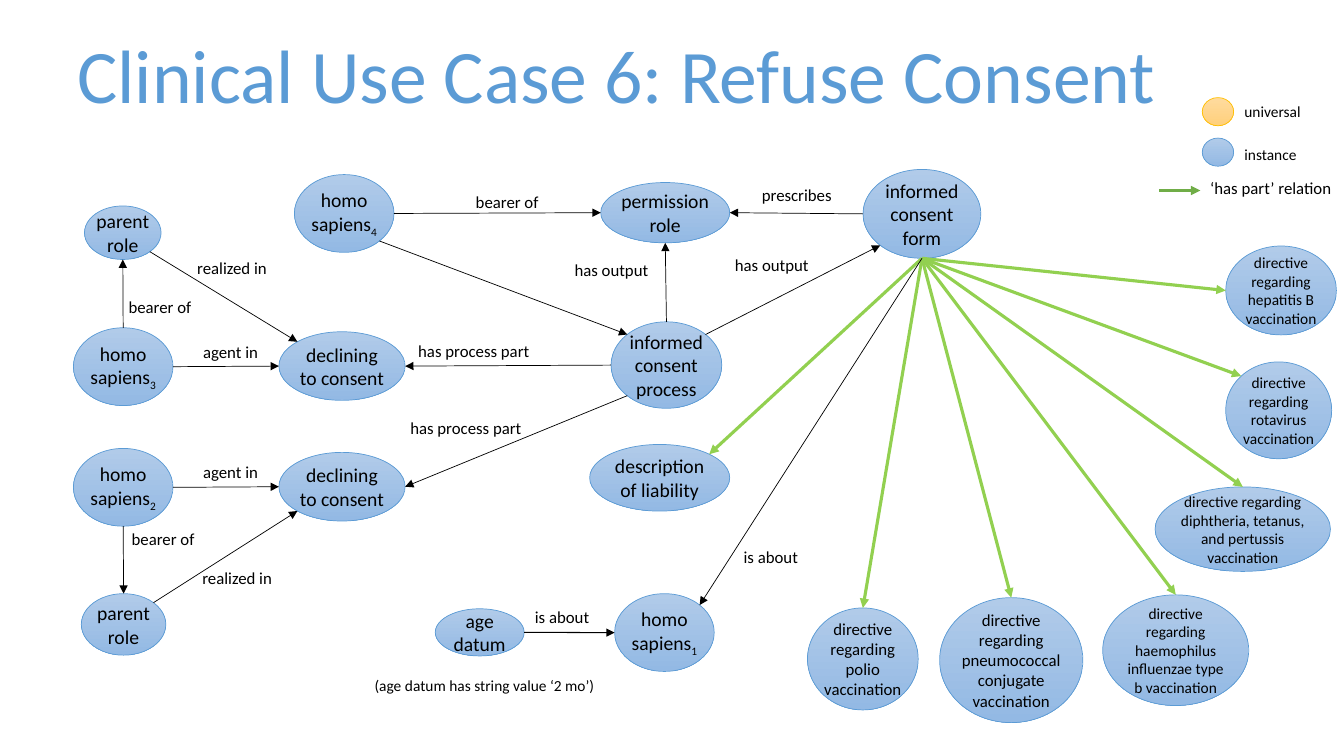
import math

from lxml import etree
from pptx import Presentation
from pptx import util as u
from pptx.dml.color import RGBColor
from pptx.enum import shapes, text
from pptx.oxml.ns import qn

BLACK, BLUE, GREEN = "000000", "5B9BD5", "92D050"
INSTANCE = ("B1CBE9", "93B9E4", BLUE)
UNIVERSAL = ("FFDB9E", "FFD07C", "FFC000")
TOP, TOP_LEFT, LEFT, BOTTOM_LEFT, BOTTOM, BOTTOM_RIGHT, RIGHT, TOP_RIGHT = range(8)
PERSON = (2.51, 1.96)
LABEL_WIDTHS = {
    "bearer of": 2.11, "has output": 2.39, "realized in": 2.29, "agent in": 1.9,
    "has process part": 3.35, "prescribes": 2.29, "is about": 1.9,
    "universal": 1.96, "instance": 1.83, "‘has part’ relation": 3.61,
    "(age datum has string value ‘2 mo’)": 6.1,
}


def rgb(hex_color):
    return RGBColor.from_string(hex_color)


def style_run(r, size, color=BLACK):
    r.font.name = "Calibri"
    r.font.size = u.Pt(size)
    r.font.color.rgb = rgb(color)


def add_oval(s, x, y, w, h, colors=INSTANCE):
    sp = s.shapes.add_shape(shapes.MSO_SHAPE.OVAL, u.Cm(x), u.Cm(y), u.Cm(w), u.Cm(h))
    sp.shadow.inherit = False
    sp.fill.gradient()
    sp.fill.gradient_angle = 270
    for stop, color in zip(sp.fill.gradient_stops, colors):
        stop.color.rgb = rgb(color)
    sp.line.color.rgb = rgb(colors[2])
    sp.line.width = u.Pt(0.5)
    return sp


def add_node(s, x, y, w, h, words, size=14, index=None):
    sp = add_oval(s, x, y, w, h)
    tf = sp.text_frame
    tf.margin_left = tf.margin_right = tf.margin_top = tf.margin_bottom = 0
    tf.word_wrap = True
    tf.vertical_anchor = text.MSO_ANCHOR.MIDDLE
    p = tf.paragraphs[0]
    p.text = words
    p.alignment = text.PP_ALIGN.CENTER
    if index:
        r = p.add_run()
        r.text = index
        r._r.get_or_add_rPr().set("baseline", "-25000")
    for r in p.runs:
        style_run(r, size)
    return sp


def add_person(s, x, y, index):
    return add_node(s, x, y, *PERSON, "homo sapiens", index=index)


def add_label(s, x, y, words, size=12):
    sp = s.shapes.add_textbox(u.Cm(x), u.Cm(y), u.Cm(LABEL_WIDTHS[words]), u.Cm(0.76))
    tf = sp.text_frame
    tf.text = words
    tf.word_wrap = False
    tf.auto_size = text.MSO_AUTO_SIZE.SHAPE_TO_FIT_TEXT
    style_run(tf.paragraphs[0].runs[0], size)


def add_arrow(s, start, end, color=BLACK, width=0.5):
    cxn = s.shapes.add_connector(shapes.MSO_CONNECTOR.STRAIGHT, *start, *end)
    cxn.line.color.rgb = rgb(color)
    cxn.line.width = u.Pt(width)
    etree.SubElement(cxn.line._get_or_add_ln(), qn("a:tailEnd"), type="triangle")
    etree.SubElement(cxn._element.spPr, qn("a:effectLst"))
    return cxn


def site_point(sp, site):
    angle = math.radians(90 + 45 * site)
    return (int(sp.left + sp.width / 2 * (1 + math.cos(angle))),
            int(sp.top + sp.height / 2 * (1 - math.sin(angle))))


def link(s, source, source_site, target, target_site, color=BLACK, width=0.5):
    cxn = add_arrow(s, site_point(source, source_site), site_point(target, target_site),
                    color, width)
    ends = cxn._element.nvCxnSpPr.cNvCxnSpPr
    for tag, sp, site in (("a:stCxn", source, source_site), ("a:endCxn", target, target_site)):
        etree.SubElement(ends, qn(tag), id=str(sp.shape_id), idx=str(site))


def add_title(s, x, y, w, h):
    tf = s.shapes.add_textbox(u.Cm(x), u.Cm(y), u.Cm(w), u.Cm(h)).text_frame
    tf.word_wrap = True
    tf.text = "Clinical Use Case 6: Refuse Consent"
    style_run(tf.paragraphs[0].runs[0], 54, BLUE)


def add_legend(s, x, y):
    for i, (words, colors) in enumerate((("universal", UNIVERSAL), ("instance", INSTANCE))):
        add_oval(s, x + 1.09, y + 1.02 * i, 0.79, 0.71, colors)
        add_label(s, x + 1.9, y + 1.07 * i, words, 11)
    line_y = u.Cm(y + 2.34)
    add_arrow(s, (u.Cm(x), line_y), (u.Cm(x + 1.04), line_y), "70AD47", 2.25)
    add_label(s, x + 1.04, y + 1.9, "‘has part’ relation")


def add_parent(s, x, y, index, role_box, role_above, bearer_at, realized_at):
    parent = add_person(s, x, y, index)
    declining = add_node(s, x + 5.18, y + 0.1, 3.18, 1.73, "declining to consent")
    dx, dy, w, h = role_box
    role = add_node(s, x + dx, y + dy, w, h, "parent role")
    link(s, parent, RIGHT, declining, LEFT)
    if role_above:
        link(s, parent, TOP, role, BOTTOM)
        link(s, role, BOTTOM_RIGHT, declining, TOP_LEFT)
    else:
        link(s, parent, BOTTOM, role, TOP)
        link(s, role, TOP_RIGHT, declining, BOTTOM_LEFT)
    for (dx, dy), words in ((bearer_at, "bearer of"), (realized_at, "realized in"),
                            ((3.02, 0.22), "agent in")):
        add_label(s, x + dx, y + dy, words)
    return declining


def add_consent_process(s, x, y, refusals):
    clinician = add_person(s, x, y + 0.13, "4")
    permission = add_node(s, x + 7.72, y + 0.33, 3.25, 1.52, "permission role")
    form = add_node(s, x + 14.33, y, 2.97, 2.24, "informed consent form")
    process = add_node(s, x + 7.98, y + 3.84, 2.79, 2.18, "informed consent process")
    liability = add_node(s, x + 7.44, y + 6.93, 3.53, 1.68, "description of liability")
    link(s, clinician, RIGHT, permission, LEFT)
    link(s, clinician, BOTTOM_RIGHT, process, TOP_LEFT)
    link(s, process, TOP, permission, BOTTOM)
    link(s, process, TOP_RIGHT, form, BOTTOM_LEFT)
    link(s, form, LEFT, permission, RIGHT)
    for site, declining in zip((LEFT, BOTTOM_LEFT), refusals):
        link(s, process, site, declining, RIGHT)
    link(s, form, BOTTOM, liability, TOP_RIGHT, GREEN, 2.25)
    for dx, dy, words in ((4.32, 0.43, "bearer of"), (11.53, 0.25, "prescribes"),
                          (6.81, 2.16, "has output"), (10.85, 2.03, "has output"),
                          (2.87, 4.19, "has process part"), (2.67, 6.12, "has process part")):
        add_label(s, x + dx, y + dy, words)
    return form


def add_directives(s, x, y, form):
    for dx, dy, w, h, subject, size, site in (
            (10.54, 0, 2.79, 2.24, "hepatitis B", 11, LEFT),
            (10.54, 2.92, 2.67, 2.44, "rotavirus", 11, TOP_LEFT),
            (8.76, 6.07, 4.42, 2.13, "diphtheria, tetanus, and pertussis", 11, TOP),
            (7.44, 8.79, 3.68, 2.79, "haemophilus influenzae type b", 11, TOP),
            (3.33, 8.86, 3.61, 3.15, "pneumococcal conjugate", 12, TOP),
            (0, 9.12, 2.79, 2.57, "polio", 12, TOP)):
        directive = add_node(s, x + dx, y + dy, w, h,
                             f"directive regarding {subject} vaccination", size)
        link(s, form, BOTTOM, directive, site, GREEN, 2.25)


def add_patient(s, x, y, form):
    age = add_node(s, x + 1.78, y + 0.38, 2.24, 1.19, "age datum")
    patient = add_person(s, x + 6.3, y, "1")
    link(s, age, RIGHT, patient, LEFT, width=0.75)
    link(s, form, BOTTOM, patient, TOP_RIGHT)
    add_label(s, x + 4.04, y + 0.2, "is about")
    add_label(s, x + 9.3, y - 1.32, "is about")
    add_label(s, x, y + 1.96, "(age datum has string value ‘2 mo’)", 11)


def main():
    prs = Presentation()
    prs.slide_width, prs.slide_height = u.Cm(33.87), u.Cm(19.05)
    s = prs.slides.add_slide(prs.slide_layouts[6])
    add_title(s, 1.7, 0.58, 30.45, 2.57)
    add_legend(s, 29.21, 2.46)
    refusals = (
        add_parent(s, 1.85, 8.26, "3", (0.28, -3.07, 1.93, 1.35), True,
                   (1.14, -0.91), (2.87, -1.9)),
        add_parent(s, 1.85, 11.3, "2", (0.2, 3.66, 2.13, 1.55), False,
                   (1.22, 1.9), (3, 2.87)),
    )
    form = add_consent_process(s, 7.42, 4.27, refusals)
    add_directives(s, 20.35, 6.2, form)
    add_patient(s, 9.19, 14.96, form)
    prs.save("out.pptx")


if __name__ == "__main__":
    main()
